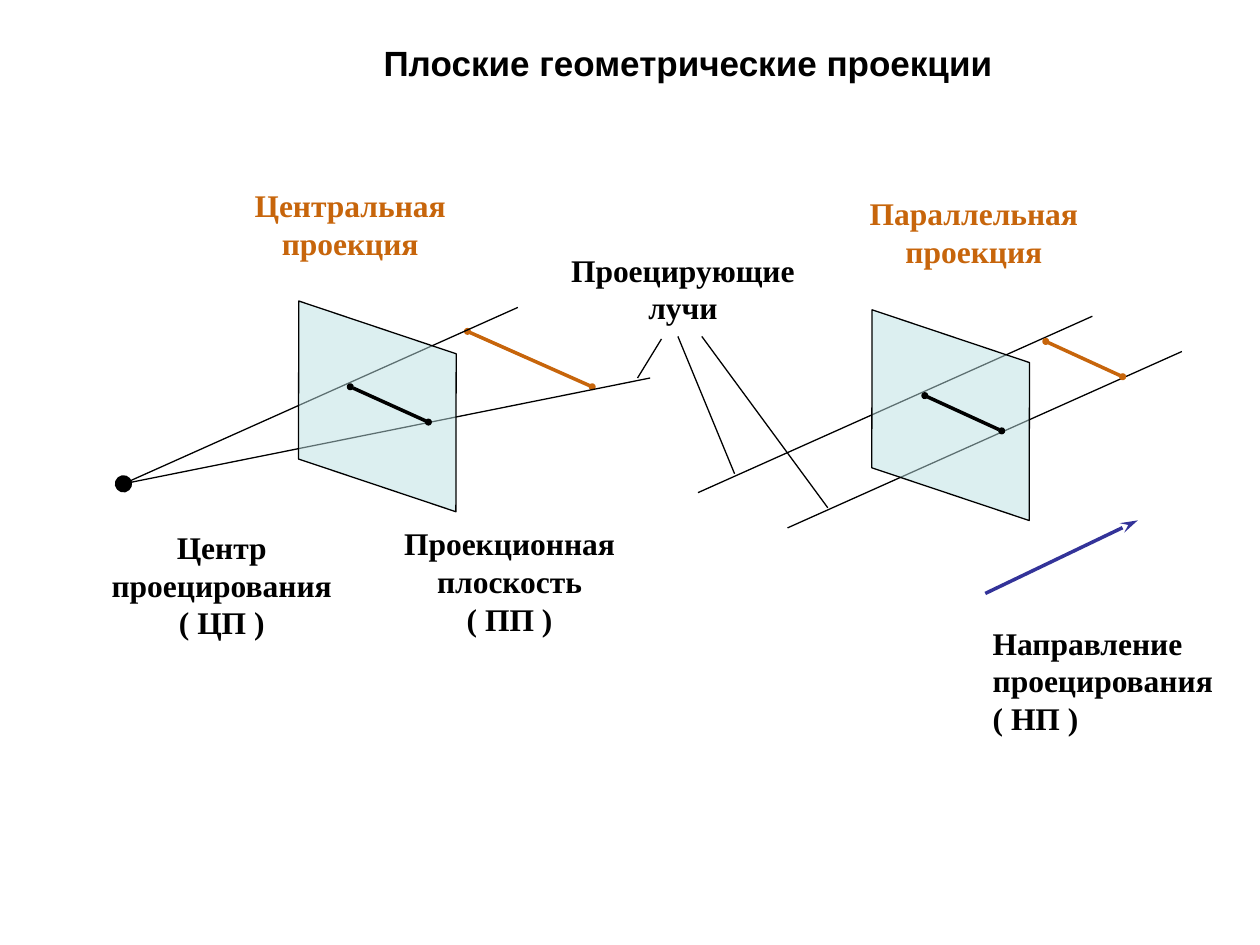
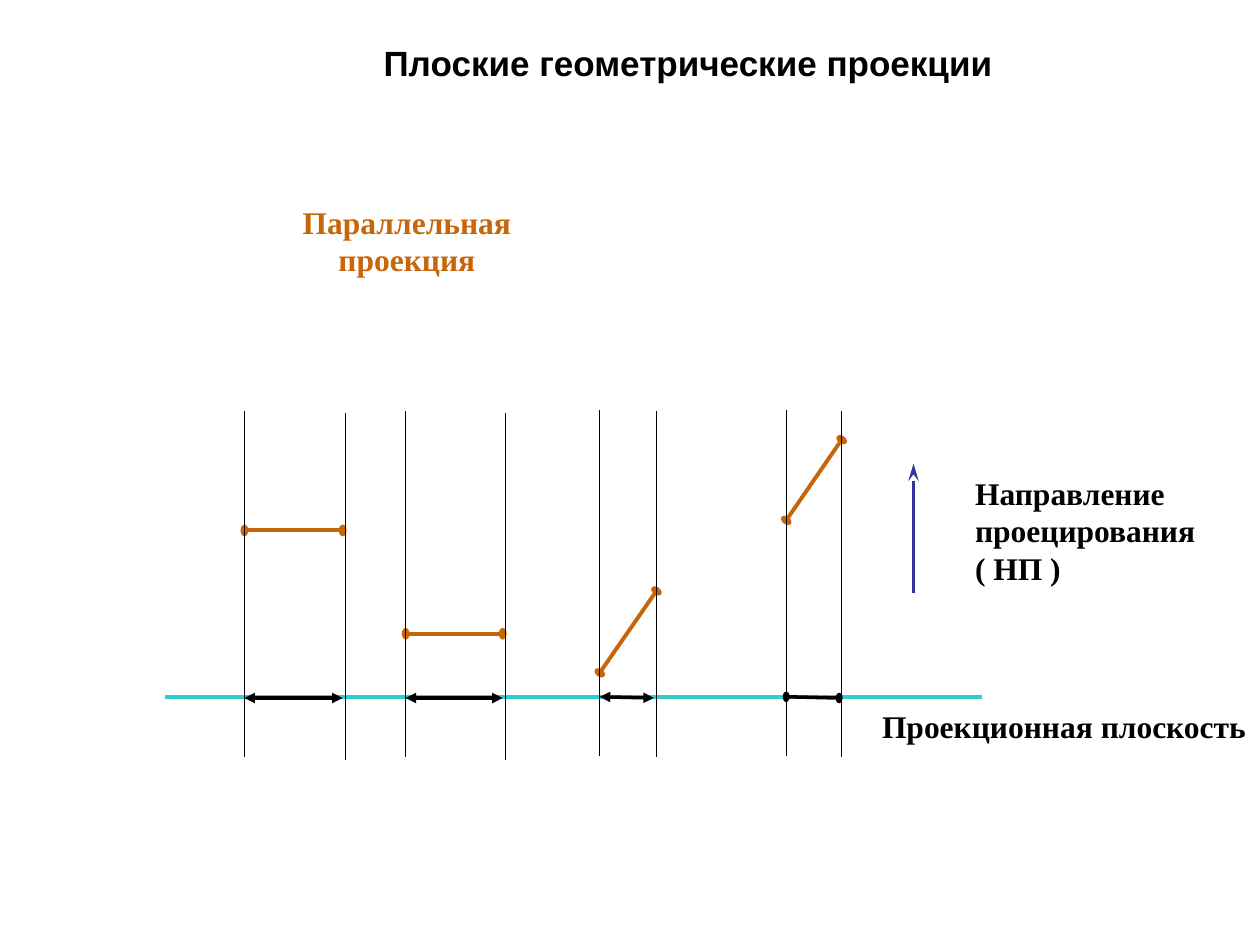
from lxml import etree
from pptx import Presentation
from pptx.dml.color import RGBColor
from pptx.enum.shapes import MSO_CONNECTOR, MSO_SHAPE
from pptx.enum.text import MSO_ANCHOR, MSO_AUTO_SIZE, PP_ALIGN
from pptx.oxml.ns import qn
from pptx.util import Inches, Pt

STRAIGHT = MSO_CONNECTOR.STRAIGHT
PARALLELOGRAM = MSO_SHAPE.PARALLELOGRAM
MIDDLE, TOP = MSO_ANCHOR.MIDDLE, MSO_ANCHOR.TOP
NO_AUTOSIZE = MSO_AUTO_SIZE.NONE
CENTER, LEFT = PP_ALIGN.CENTER, PP_ALIGN.LEFT
TITLE_ONLY = 5

BLACK = RGBColor(0x00, 0x00, 0x00)
ORANGE = RGBColor(0xC7, 0x65, 0x0B)
NAVY = RGBColor(0x33, 0x33, 0x99)
TEAL = RGBColor(0x33, 0xCC, 0xCC)
PALE_TEAL = RGBColor(0xBB, 0xE0, 0xE3)

THIN, THICK, OBJECT = 0.75, 2, 2.25
CENTRE_DOT = ("oval", "lg", "lg")
SMALL_DOT = ("oval", "sm", "sm")
FLAT_DOT = ("oval", "med", "sm")
TRIANGLE = ("triangle", "med", "med")
STEALTH = ("stealth", "med", "lg")

TITLE = "Плоские геометрические проекции "
PARALLEL = ["Параллельная", "проекция"]
DIRECTION = ["Направление", "проецирования", "( НП )"]


class ProjectionDeck:
    """Holds the deck style and draws elements on the current page."""

    def __init__(self):
        self.deck = Presentation()
        self.deck.slide_width = Inches(10)
        self.deck.slide_height = Inches(7.5)
        self.page = None

    def add_page(self, title):
        self.page = self.deck.slides.add_slide(self.deck.slide_layouts[TITLE_ONLY])
        box = self.page.shapes.title
        box.left, box.top = Inches(1), Inches(-0.03)
        box.width, box.height = Inches(9), Inches(0.97)
        self.fill_text(box, [title], "Arial", 20, BLACK, CENTER, MIDDLE)
        box.text_frame.paragraphs[0].line_spacing = 1.25

    def fill_text(self, box, lines, font, size, color, align, anchor, wrap=True):
        frame = box.text_frame
        frame.word_wrap = wrap
        frame.auto_size = NO_AUTOSIZE
        frame.vertical_anchor = anchor
        for index, line in enumerate(lines):
            para = frame.add_paragraph() if index else frame.paragraphs[0]
            para.alignment = align
            span = para.add_run()
            span.text = line
            span.font.name = font
            span.font.size = Pt(size)
            span.font.bold = True
            span.font.color.rgb = color

    def label(self, left, top, width, lines, color=BLACK, align=CENTER):
        height = 0.1 + 0.3 * len(lines)
        box = self.page.shapes.add_textbox(
            Inches(left), Inches(top), Inches(width), Inches(height))
        self.fill_text(box, lines, "Times New Roman", 18, color, align, TOP, False)

    def line(self, start, end, color=BLACK, width=THIN, head=None, tail=None):
        points = [Inches(value) for value in (*start, *end)]
        connector = self.page.shapes.add_connector(STRAIGHT, *points)
        connector.line.color.rgb = color
        connector.line.width = Pt(width)
        properties = connector._element.spPr
        outline = properties.find(qn("a:ln"))
        for tag, marker in (("a:headEnd", head), ("a:tailEnd", tail)):
            if marker:
                etree.SubElement(outline, qn(tag), dict(zip(("type", "w", "len"), marker)))
        etree.SubElement(properties, qn("a:effectLst"))

    def segment(self, start, end, color, width, marker):
        self.line(start, end, color, width, marker, marker)

    def plane(self, left, top):
        shape = self.page.shapes.add_shape(
            PARALLELOGRAM, Inches(left), Inches(top), Inches(1.67), Inches(1.25))
        shape.rotation = 270.1
        shape.adjustments[0] = 0.333
        shape.shadow.inherit = False
        shape.fill.solid()
        shape.fill.fore_color.rgb = PALE_TEAL
        color = shape._element.spPr.find(qn("a:solidFill"))[0]
        etree.SubElement(color, qn("a:alpha"), val="50000")
        shape.line.color.rgb = BLACK
        shape.line.width = Pt(THIN)


def draw_projection_kinds(deck):
    deck.add_page(TITLE)
    deck.label(1.35, 1.43, 2.86, ["Центральная", "проекция"], ORANGE)
    deck.label(6.23, 1.49, 3, PARALLEL, ORANGE)
    deck.label(4.43, 1.94, 1.98, ["Проецирующие", "лучи"])
    deck.label(0.72, 4.14, 2.08, ["Центр", "проецирования", "( ЦП )"])
    deck.label(3.11, 4.11, 1.87, ["Проекционная", "плоскость", "( ПП )"])
    deck.label(7.78, 4.9, 1.95, DIRECTION, align=LEFT)

    centre = (0.98, 3.84)
    deck.segment((3.71, 2.63), (4.7, 3.07), ORANGE, THICK, SMALL_DOT)
    deck.line(centre, (4.11, 2.44))
    deck.line(centre, (5.16, 3), head=CENTRE_DOT)
    deck.plane(2.16, 2.6)
    deck.segment((2.78, 3.07), (3.4, 3.35), BLACK, THICK, SMALL_DOT)

    for left, bottom in ((6.25, 4.19), (5.54, 3.91)):
        deck.line((left, bottom), (left + 3.13, bottom - 1.4))
    deck.plane(6.71, 2.67)
    deck.segment((7.34, 3.14), (7.95, 3.42), BLACK, THICK, SMALL_DOT)
    deck.segment((8.3, 2.71), (8.91, 2.99), ORANGE, THICK, SMALL_DOT)
    deck.line((9.03, 4.13), (7.82, 4.71), NAVY, THICK, head=STEALTH)

    for start, end in (((5.25, 2.69), (5.06, 3)),
                       ((5.38, 2.67), (5.83, 3.76)),
                       ((5.57, 2.67), (6.57, 4.03))):
        deck.line(start, end)


def draw_parallel_projection(deck):
    deck.add_page(TITLE)
    deck.label(1.73, 1.56, 3, PARALLEL, ORANGE)
    deck.label(6.89, 5.56, 3.11, ["Проекционная плоскость"])
    deck.label(7.64, 3.71, 1.95, DIRECTION, align=LEFT)
    deck.line((1.31, 5.53), (7.79, 5.53), TEAL, THICK)

    flat, tilted = (3.26, 3.28, 5.54), (3.25, 3.26, 5.53)
    cases = (
        (1.94, 2.74, 4.21, 4.21, flat, TRIANGLE),
        (3.22, 4.01, 5.03, 5.03, flat, TRIANGLE),
        (4.76, 5.21, 5.34, 4.69, tilted, TRIANGLE),
        (6.24, 6.68, 4.13, 3.49, tilted, FLAT_DOT),
    )
    for left, right, left_y, right_y, rays, marker in cases:
        left_top, right_top, image_y = rays
        object_right = right - 0.02 if rays == flat else right
        deck.segment((left, left_y), (object_right, right_y), ORANGE, OBJECT, FLAT_DOT)
        for x, top in ((left, left_top), (right, right_top)):
            deck.line((x, top), (x, top + 2.75))
        deck.segment((left, image_y), (right - 0.02, 5.54), BLACK, THICK, marker)
    deck.line((7.25, 3.68), (7.25, 4.71), NAVY, THICK, head=STEALTH)


def main():
    deck = ProjectionDeck()
    draw_projection_kinds(deck)
    draw_parallel_projection(deck)
    deck.deck.save("out.pptx")


if __name__ == "__main__":
    main()
